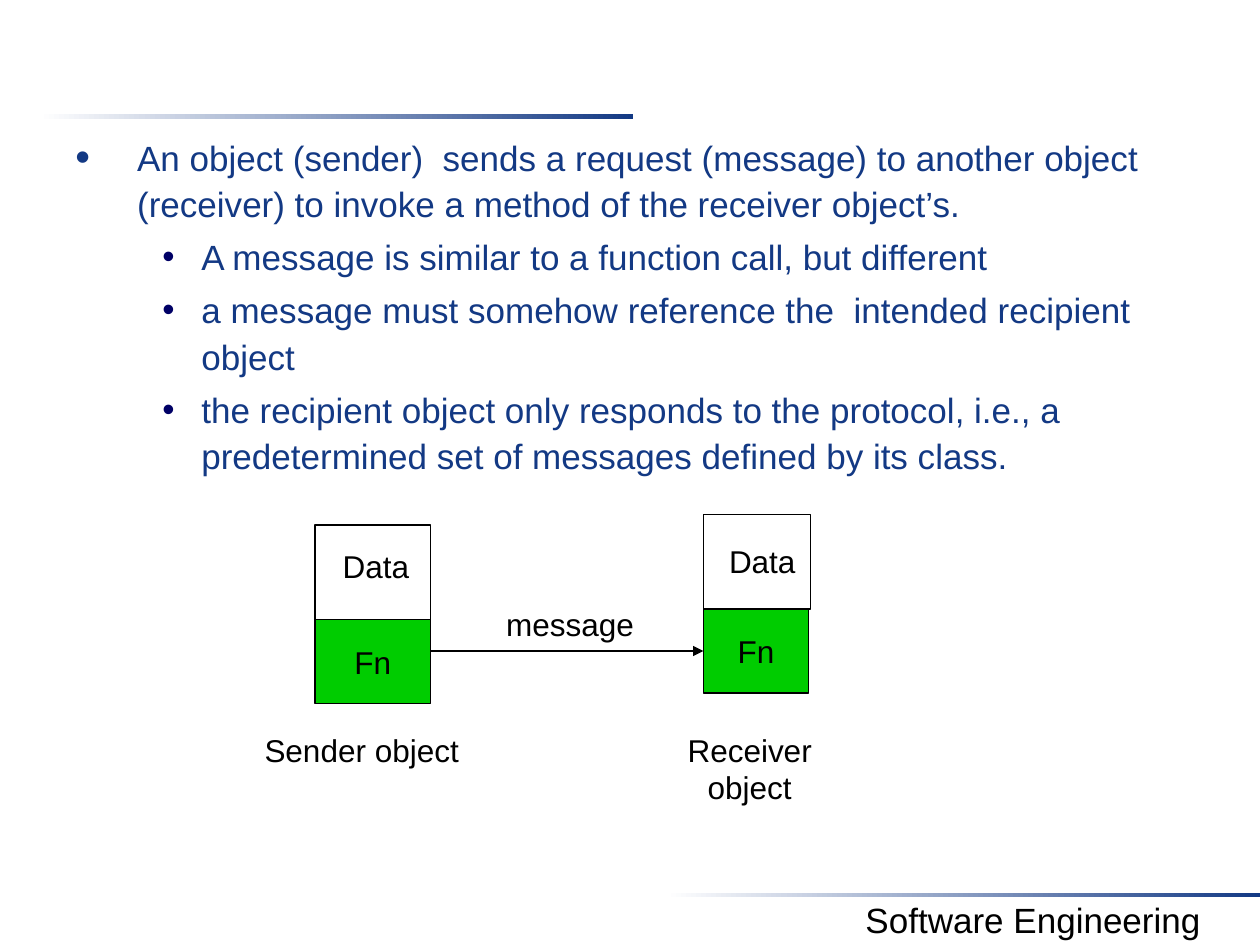
from collections import namedtuple

from lxml.etree import SubElement
from pptx import Presentation
from pptx.dml.color import RGBColor
from pptx.enum.shapes import MSO_CONNECTOR, MSO_SHAPE
from pptx.enum.text import MSO_ANCHOR, PP_ALIGN
from pptx.oxml.ns import qn
from pptx.util import Inches, Pt

COLORS = {
    "white": "FFFFFF",
    "navy": "133984",
    "bullet": "000066",
    "green": "00CC00",
    "black": "000000",
}
FONT = "Arial"
CELLS_PER_INCH = 12
COLUMNS, ROWS = 120, 90
LABEL_ROWS = 4.8
Box = namedtuple("Box", "column row columns rows")

BULLETS = [
    (0, "An object (sender)  sends a request (message) to another object "
        "(receiver) to invoke a method of the receiver object’s."),
    (1, "A message is similar to a function call, but different"),
    (1, "a message must somehow reference the  intended recipient object"),
    (1, "the recipient object only responds to the protocol, i.e., a "
        "predetermined set of messages defined by its class."),
]


def cells(count):
    return Inches(count / CELLS_PER_INCH)


def place(box):
    return [cells(length) for length in box]


def color(name):
    return RGBColor.from_string(COLORS[name])


def style_font(font, size, name="black"):
    font.name = FONT
    font.size = Pt(size)
    font.color.rgb = color(name)


def add_label(page, box, text, size=18, wrap=False):
    frame = page.shapes.add_textbox(*place(box)).text_frame
    frame.word_wrap = wrap
    frame.text = text
    para = frame.paragraphs[0]
    para.alignment = PP_ALIGN.CENTER
    style_font(para.runs[0].font, size)


def add_rule(page, box):
    rule = page.shapes.add_shape(MSO_SHAPE.RECTANGLE, *place(box))
    rule.shadow.inherit = False
    rule.line.fill.background()
    rule.fill.gradient()
    rule.fill.gradient_angle = 0
    for stop, name in zip(rule.fill.gradient_stops, ("white", "navy")):
        stop.color.rgb = color(name)


def add_footer(page, box):
    add_rule(page, Box(COLUMNS - 56.6, box.row, 56.6, 0.4))
    add_label(page, box, "Software Engineering", 20, True)


def add_bullet(para, level):
    properties = para._p.get_or_add_pPr()
    margin, indent = ((0.49, -0.49), (1, -0.31))[level]
    properties.set("marL", str(Inches(margin)))
    properties.set("indent", str(Inches(indent)))
    if level:
        bullet_color = SubElement(properties, qn("a:buClr"))
        SubElement(bullet_color, qn("a:srgbClr"), val=COLORS["bullet"])
    else:
        SubElement(properties, qn("a:buSzPct"), val="120000")
    SubElement(properties, qn("a:buFont"), typeface=FONT)
    SubElement(properties, qn("a:buChar"), char="•")


def add_body(page, box):
    frame = page.shapes.add_textbox(*place(box)).text_frame
    frame.word_wrap = True
    for index, (level, text) in enumerate(BULLETS):
        para = frame.add_paragraph() if index else frame.paragraphs[0]
        para.text = text
        para.level = level
        add_bullet(para, level)
        para.line_spacing = 1.1
        para.space_before = Pt(4 if index else 0)
        style_font(para.runs[0].font, 20, "navy")


def add_cell(page, box, fill=None, text=""):
    cell = page.shapes.add_shape(MSO_SHAPE.RECTANGLE, *place(box))
    cell.shadow.inherit = False
    cell.line.color.rgb = color("black")
    cell.line.width = Pt(0.75)
    if fill:
        cell.fill.solid()
        cell.fill.fore_color.rgb = color(fill)
    else:
        cell.fill.background()
    if text:
        frame = cell.text_frame
        frame.word_wrap = False
        frame.vertical_anchor = MSO_ANCHOR.MIDDLE
        frame.text = text
        para = frame.paragraphs[0]
        para.alignment = PP_ALIGN.CENTER
        style_font(para.runs[0].font, 18)


def add_object(page, box, data_columns, data_label):
    data_rows = 9
    add_cell(page, Box(box.column, box.row + data_rows, box.columns,
                       box.rows - data_rows), "green", "Fn")
    add_cell(page, Box(box.column, box.row, data_columns, data_rows))
    left, top = data_label
    add_label(page, Box(box.column + left, box.row + top, 9.6, LABEL_ROWS), "Data")


def add_arrow(page, start, end, row):
    arrow = page.shapes.add_connector(
        MSO_CONNECTOR.STRAIGHT, cells(start), cells(row), cells(end), cells(row))
    arrow.line.color.rgb = color("black")
    arrow.line.width = Pt(0.75)
    SubElement(arrow.line._get_or_add_ln(), qn("a:tailEnd"), type="triangle")
    SubElement(arrow._element.spPr, qn("a:effectLst"))


def add_diagram(page, box):
    sender = Box(box.column, box.row + 1, 11, 17)
    receiver = Box(box.column + 37, box.row, 10, 17)
    add_object(page, sender, 11, (1, 1.5))
    add_object(page, receiver, 10.2, (0.8, 2))
    add_arrow(page, sender.column + sender.columns, receiver.column, box.row + 13)
    caption_row = box.row + box.rows - LABEL_ROWS
    add_label(page, Box(box.column - 6, caption_row, 20.9, LABEL_ROWS), "Sender object")
    add_label(page, Box(box.column + 29.9, caption_row, 23, LABEL_ROWS), "Receiver object")
    add_label(page, Box(box.column + 17, box.row + 8, 14.6, LABEL_ROWS), "message")


def main():
    deck = Presentation()
    deck.slide_width, deck.slide_height = cells(COLUMNS), cells(ROWS)
    page = deck.slides.add_slide(deck.slide_layouts[6])
    add_rule(page, Box(3.7, 10.9, 56.6, 0.4))
    add_footer(page, Box(76.8, 85, 43.2, 5.3))
    add_body(page, Box(6, 12, 107, 66))
    add_diagram(page, Box(30, 49, 47, 24.8))
    deck.save("out.pptx")


if __name__ == "__main__":
    main()
